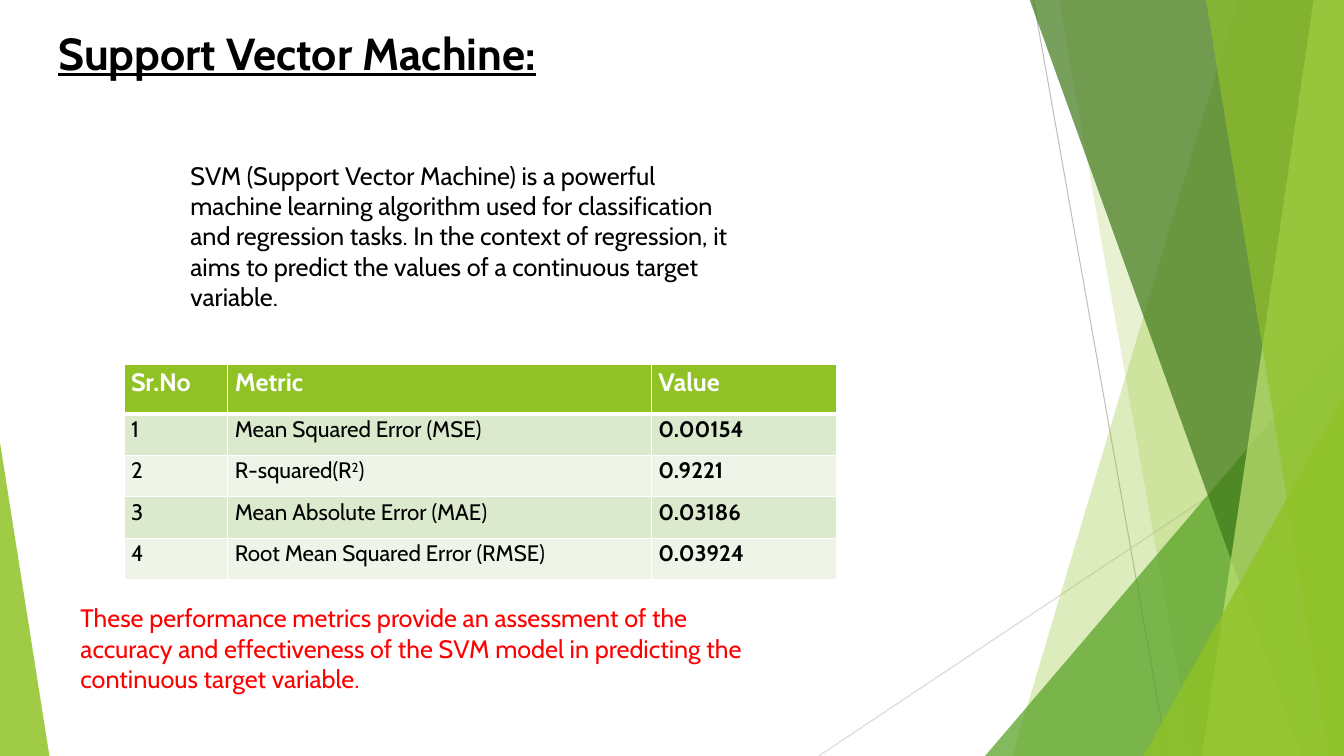
from dataclasses import dataclass

from lxml import etree
from pptx import Presentation
from pptx.dml.color import RGBColor
from pptx.enum.shapes import MSO_CONNECTOR, MSO_SHAPE
from pptx.enum.text import MSO_ANCHOR, MSO_AUTO_SIZE, PP_ALIGN
from pptx.oxml.ns import qn
from pptx.util import Inches, Pt

TRIANGLE = MSO_SHAPE.ISOSCELES_TRIANGLE
STRAIGHT = MSO_CONNECTOR.STRAIGHT
LEFT = PP_ALIGN.LEFT
TOP = MSO_ANCHOR.TOP
NO_AUTOFIT = MSO_AUTO_SIZE.NONE
TITLE_ONLY = 5


@dataclass(frozen=True)
class Theme:
    font: str = "Cabin"
    text: str = "000000"
    note: str = "FF0000"
    white: str = "FFFFFF"
    lime: str = "90C226"
    green: str = "54A021"
    forest: str = "3F7819"
    pale: str = "C0E474"
    ray_dark: str = "BFBFBF"
    ray_light: str = "D9D9D9"
    bands: tuple = ("DBE9CD", "EEF4E8")
    title_size: int = 32
    body_size: int = 18
    cell_size: int = 16


THEME = Theme()
FACET_TOP, FACET_BOTTOM, SLIDE_RIGHT = -0.01, 7.5, 13.33

# Lines: start, end, colour
RAYS = [
    ((10.25, 0), (11.58, 7.5), THEME.ray_dark),
    ((13.33, 4.03), (8.12, 7.5), THEME.ray_light),
]
# Facets reach the right edge: left end at the top, left end at the bottom, colour, opacity
BACK_FACETS = [
    (12.28, 10.04, THEME.lime, 30),
    (10.5, 11.83, THEME.lime, 20),
]
FRONT_FACETS = [
    (10.21, 12.91, THEME.forest, 70),
    (13.03, 11.92, THEME.pale, 70),
    (11.96, 13.18, THEME.lime, 65),
]

INTRO = (
    "SVM (Support Vector Machine) is a powerful machine learning algorithm used for "
    "classification and regression tasks. In the context of regression, it aims to "
    "predict the values of a continuous target variable."
)
CONCLUSION = (
    "These performance metrics provide an assessment of the accuracy and effectiveness "
    "of the SVM model in predicting the continuous target variable."
)
# A cell is a list of (text, superscript) runs when it is not plain text
METRICS = [
    ("Sr.No", "Metric", "Value"),
    ("1", "Mean Squared Error (MSE)", "0.00154"),
    ("2", [("R-squared(R", False), ("2", True), (")", False)], "0.9221"),
    ("3", "Mean Absolute Error (MAE)", "0.03186"),
    ("4", "Root Mean Squared Error (RMSE)", "0.03924"),
]
COLUMN_WIDTHS = [1.03, 4.2, 1.84]
HEADER_HEIGHT, ROW_HEIGHT = 0.49, 0.41


def rgb(color):
    return RGBColor.from_string(color)


def style_font(font, size, color, bold=False):
    font.name = THEME.font
    font.size = Pt(size)
    font.color.rgb = rgb(color)
    font.bold = bold


def paint(shape, color, opacity):
    """Give a facet its see-through fill, with no outline."""
    shape.shadow.inherit = False
    shape.line.fill.background()
    shape.fill.solid()
    shape.fill.fore_color.rgb = rgb(color)
    swatch = shape.fill._xPr.find(qn("a:solidFill"))[0]
    etree.SubElement(swatch, qn("a:alpha"), val=str(opacity * 1000))


def add_ray(slide, start, end, color):
    ray = slide.shapes.add_connector(STRAIGHT, *map(Inches, start + end))
    ray.line.color.rgb = rgb(color)
    ray.line.width = Pt(0.75)
    etree.SubElement(ray._element.spPr, qn("a:effectLst"))


def add_facet(slide, top_x, bottom_x, color, opacity):
    corners = [
        (top_x, FACET_TOP), (SLIDE_RIGHT, FACET_TOP),
        (SLIDE_RIGHT, FACET_BOTTOM), (bottom_x, FACET_BOTTOM),
    ]
    points = [(Inches(x), Inches(y)) for x, y in corners]
    builder = slide.shapes.build_freeform(*points[0])
    builder.add_line_segments(points[1:], close=True)
    paint(builder.convert_to_shape(), color, opacity)


def add_triangle(slide, box, apex, color, opacity):
    triangle = slide.shapes.add_shape(TRIANGLE, *map(Inches, box))
    triangle.adjustments[0] = apex
    paint(triangle, color, opacity)


def add_decoration(slide):
    for ray in RAYS:
        add_ray(slide, *ray)
    for facet in BACK_FACETS:
        add_facet(slide, *facet)
    add_triangle(slide, (9.77, 3.33, 3.56, 4.17), 1, THEME.green, 72)
    for facet in FRONT_FACETS:
        add_facet(slide, *facet)
    add_triangle(slide, (11.34, 3.93, 1.99, 3.57), 1, THEME.lime, 80)
    add_triangle(slide, (0, 4.39, 0.49, 3.11), 0, THEME.lime, 85)


def set_title(slide, text):
    title = slide.shapes.title
    title.left, title.top, title.width, title.height = map(Inches, (0.48, 0.2, 5.57, 1.25))
    frame = title.text_frame
    frame.text = text
    frame.auto_size = NO_AUTOFIT
    frame.vertical_anchor = TOP
    heading = frame.paragraphs[0]
    heading.alignment = LEFT
    style_font(heading.font, THEME.title_size, THEME.text, bold=True)
    heading.font.underline = True


def add_text(slide, box, text, color):
    frame = slide.shapes.add_textbox(*map(Inches, box)).text_frame
    frame.word_wrap = True
    frame.text = text
    style_font(frame.paragraphs[0].font, THEME.body_size, color)


def set_borders(cell, bottom_width):
    properties = cell._tc.get_or_add_tcPr()
    for side, width in (("L", 1), ("R", 1), ("T", 1), ("B", bottom_width)):
        border = etree.SubElement(properties, qn(f"a:ln{side}"), w=str(Pt(width)))
        fill = etree.SubElement(border, qn("a:solidFill"))
        etree.SubElement(fill, qn("a:srgbClr"), val=THEME.white)


def fill_cell(cell, content, fill, size, color, bold, bottom_width):
    set_borders(cell, bottom_width)
    cell.fill.solid()
    cell.fill.fore_color.rgb = rgb(fill)
    cell.margin_left = cell.margin_right = Inches(0.07)
    cell.margin_top = cell.margin_bottom = 0
    paragraph = cell.text_frame.paragraphs[0]
    paragraph.line_spacing = 1.07
    style_font(paragraph.font, size, color, bold)
    pieces = [(content, False)] if isinstance(content, str) else content
    for text, superscript in pieces:
        run = paragraph.add_run()
        run.text = text
        if superscript:
            run._r.get_or_add_rPr().set("baseline", "30000")


def add_metrics_table(slide):
    heights = [HEADER_HEIGHT] + [ROW_HEIGHT] * (len(METRICS) - 1)
    box = (1.23, 3.62, sum(COLUMN_WIDTHS), sum(heights))
    table = slide.shapes.add_table(
        len(METRICS), len(COLUMN_WIDTHS), *map(Inches, box)).table
    for column, width in zip(table.columns, COLUMN_WIDTHS):
        column.width = Inches(width)
    for r, (row, height) in enumerate(zip(METRICS, heights)):
        table.rows[r].height = Inches(height)
        for c, content in enumerate(row):
            if r == 0:
                look = (THEME.lime, THEME.body_size, THEME.white, True, 3)
            else:
                is_value = c == len(row) - 1
                look = (THEME.bands[(r - 1) % 2], THEME.cell_size, THEME.text, is_value, 1)
            fill_cell(table.cell(r, c), content, *look)


def main():
    deck = Presentation()
    deck.slide_width, deck.slide_height = Inches(13.33), Inches(7.5)
    slide = deck.slides.add_slide(deck.slide_layouts[TITLE_ONLY])
    add_decoration(slide)
    set_title(slide, "Support Vector Machine:")
    add_text(slide, (1.79, 1.54, 5.54, 1.62), INTRO, THEME.text)
    add_text(slide, (0.7, 5.93, 7.07, 1.31), CONCLUSION, THEME.note)
    add_metrics_table(slide)
    deck.save("out.pptx")


if __name__ == "__main__":
    main()
